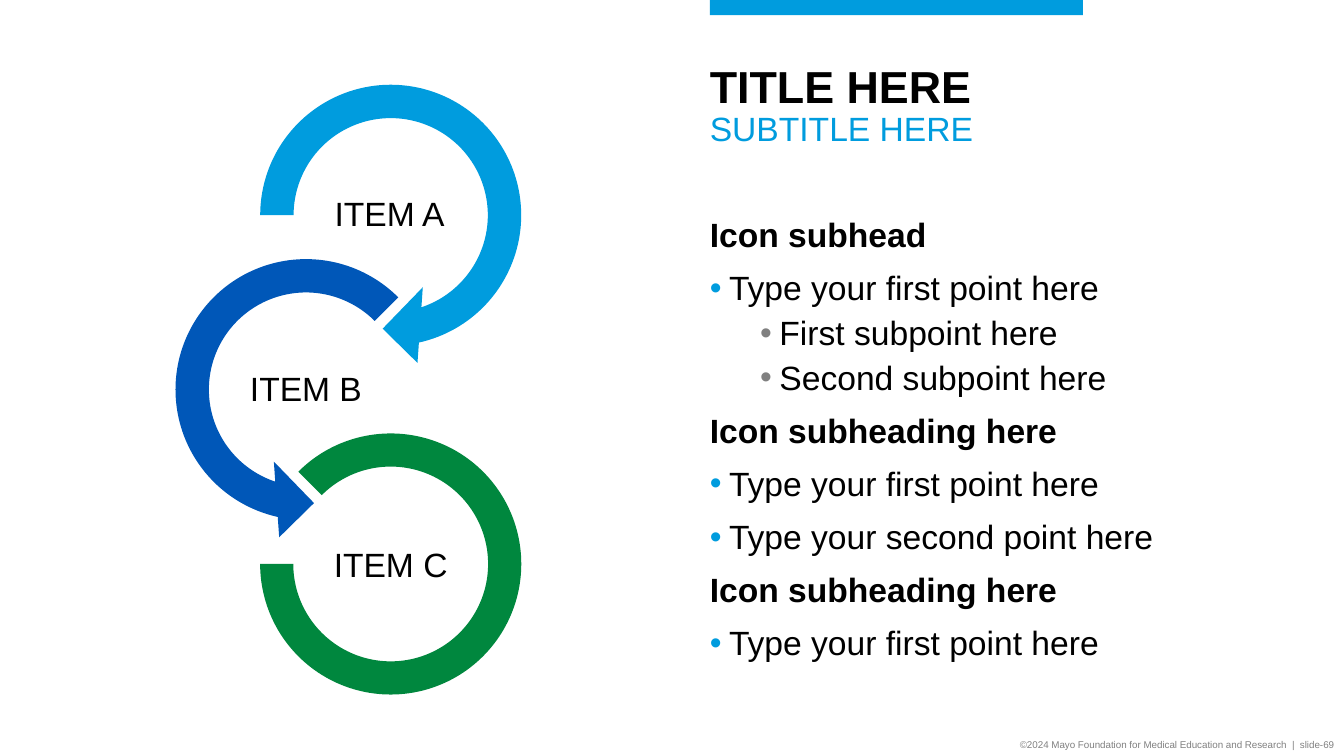
from copy import deepcopy
from dataclasses import dataclass
from typing import Optional

from lxml import etree
from pptx import Presentation
from pptx.dml.color import RGBColor
from pptx.enum import shapes, text
from pptx.oxml.ns import qn
from pptx.util import Inches, Pt

SKY, BLUE, GREEN, GRAY, BLACK = "009CDE", "0057B8", "00873E", "808080", "000000"


@dataclass
class Item:
    label: str
    label_at: tuple[float, float]
    preset: shapes.MSO_SHAPE
    at: tuple[float, float]
    size: float
    adjustments: list[float]
    color: str


@dataclass
class Level:
    depth: int
    indent: float
    space_before: int
    bullet_color: Optional[str]
    bold: bool


SUBHEAD = Level(0, 0, 12, None, True)
POINT = Level(0, 0.19, 12, SKY, False)
SUBPOINT = Level(1, 0.69, 6, GRAY, False)
HANGING = 0.19

ITEMS = [
    Item("ITEM A", (3.03, 1.72), shapes.MSO_SHAPE.CIRCULAR_ARROW, (2.37, 0.63), 3.01,
         [0.11, 11.423, 45, 108, 0.125], SKY),
    Item("ITEM B", (2.2, 3.46), shapes.MSO_SHAPE.LEFT_CIRCULAR_ARROW, (1.53, 2.36), 3.01,
         [0.11, 11.423, 63, 189, 0.125], BLUE),
    Item("ITEM C", (3.04, 5.2), shapes.MSO_SHAPE.BLOCK_ARC, (2.58, 4.3), 2.59,
         [135, 108, 0.127], GREEN),
]

OUTLINE = [
    (SUBHEAD, "Icon subhead"),
    (POINT, "Type your first point here"),
    (SUBPOINT, "First subpoint here"),
    (SUBPOINT, "Second subpoint here"),
    (SUBHEAD, "Icon subheading here"),
    (POINT, "Type your first point here"),
    (POINT, "Type your second point here"),
    (SUBHEAD, "Icon subheading here"),
    (POINT, "Type your first point here"),
]


def rgb(color: str) -> RGBColor:
    return RGBColor.from_string(color)


def format_run(run, size: float, color: str, bold: bool = False) -> None:
    run.font.name = "Arial"
    run.font.size = Pt(size)
    run.font.bold = bold
    run.font.color.rgb = rgb(color)


def set_frame(frame, margins: tuple[float, float, float, float], anchor) -> None:
    frame.word_wrap = True
    frame.auto_size = text.MSO_AUTO_SIZE.NONE
    frame.vertical_anchor = anchor
    frame.margin_left, frame.margin_top, frame.margin_right, frame.margin_bottom = map(Inches, margins)


def place(placeholder, left: float, top: float, width: float, height: float) -> None:
    placeholder.left, placeholder.top = Inches(left), Inches(top)
    placeholder.width, placeholder.height = Inches(width), Inches(height)


def add_solid(slide, preset, left: float, top: float, width: float, height: float, color: str):
    solid = slide.shapes.add_shape(preset, Inches(left), Inches(top), Inches(width), Inches(height))
    solid.shadow.inherit = False
    solid.fill.solid()
    solid.fill.fore_color.rgb = rgb(color)
    solid.line.fill.background()
    return solid


def add_label(slide, wording: str, left: float, top: float, width: float, height: float,
              margins: tuple[float, float, float, float], align, size: float, color: str):
    label = slide.shapes.add_textbox(Inches(left), Inches(top), Inches(width), Inches(height))
    frame = label.text_frame
    set_frame(frame, margins, text.MSO_ANCHOR.MIDDLE)
    frame.text = wording
    paragraph = frame.paragraphs[0]
    paragraph.alignment = align
    format_run(paragraph.runs[0], size, color)
    return paragraph


def add_item(slide, item: Item) -> None:
    ring = add_solid(slide, item.preset, *item.at, item.size, item.size, item.color)
    for index, value in enumerate(item.adjustments):
        ring.adjustments[index] = value
    paragraph = add_label(slide, item.label, *item.label_at, 1.67, 0.84, (0.02,) * 4,
                          text.PP_ALIGN.CENTER, 24, BLACK)
    paragraph.line_spacing = 0.9


def set_bullet(paragraph, level: Level) -> None:
    properties = paragraph._p.get_or_add_pPr()
    properties.set("marL", str(Inches(level.indent)))
    properties.set("indent", str(-Inches(HANGING) if level.bullet_color else 0))
    if level.bullet_color is None:
        etree.SubElement(properties, qn("a:buNone"))
        return
    bullet_color = etree.SubElement(properties, qn("a:buClr"))
    etree.SubElement(bullet_color, qn("a:srgbClr"), val=level.bullet_color)
    etree.SubElement(properties, qn("a:buFont"), typeface="Arial")
    etree.SubElement(properties, qn("a:buChar"), char="•")


def fill_title(title) -> None:
    place(title, 7.04, 0.59, 5.72, 1.07)
    set_frame(title.text_frame, (0, 0.05, 0, 0.05), text.MSO_ANCHOR.TOP)
    title.text_frame.text = "TITLE HERE\vSUBTITLE HERE"
    paragraph = title.text_frame.paragraphs[0]
    paragraph.alignment = text.PP_ALIGN.LEFT
    paragraph.line_spacing = 0.9
    heading, subtitle = paragraph.runs
    format_run(heading, 32, BLACK, True)
    format_run(subtitle, 24, SKY)
    line_break = paragraph._p.find(qn("a:br"))
    line_break.append(deepcopy(heading._r.find(qn("a:rPr"))))


def fill_outline(body) -> None:
    place(body, 7.04, 2.17, 5.72, 4.76)
    frame = body.text_frame
    set_frame(frame, (0, 0, 0, 0.05), text.MSO_ANCHOR.TOP)
    frame.text = "\n".join(wording for _, wording in OUTLINE)
    for index, (paragraph, (level, _)) in enumerate(zip(frame.paragraphs, OUTLINE)):
        paragraph.level = level.depth
        set_bullet(paragraph, level)
        paragraph.line_spacing = 0.9
        paragraph.space_before = Pt(level.space_before if index else 0)
        format_run(paragraph.runs[0], 24, BLACK, level.bold)


def main() -> None:
    deck = Presentation()
    deck.slide_width, deck.slide_height = Inches(13.33), Inches(7.5)
    slide = deck.slides.add_slide(deck.slide_layouts[1])
    add_label(slide, "©2024 Mayo Foundation for Medical Education and Research  |  slide-69",
              7.33, 7.28, 6, 0.22, (0.1, 0.05, 0.1, 0.05), text.PP_ALIGN.RIGHT, 7, GRAY)
    add_solid(slide, shapes.MSO_SHAPE.RECTANGLE, 7.04, 0, 3.7, 0.15, SKY)
    fill_title(slide.shapes.title)
    for item in ITEMS:
        add_item(slide, item)
    fill_outline(slide.placeholders[1])
    deck.save("out.pptx")


if __name__ == "__main__":
    main()
